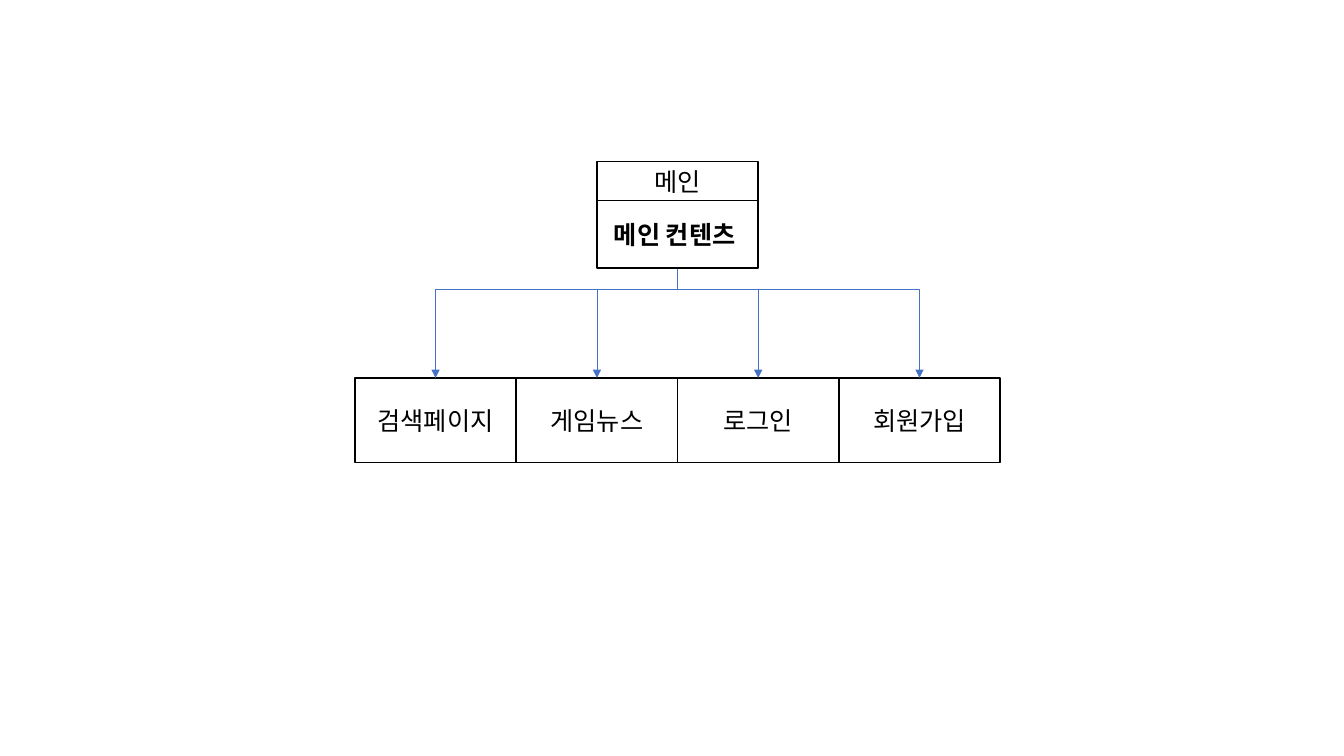
from dataclasses import dataclass

from lxml import etree
from pptx import Presentation
from pptx.dml.color import RGBColor
from pptx.enum.shapes import MSO_CONNECTOR, MSO_SHAPE
from pptx.enum.text import MSO_ANCHOR, PP_ALIGN
from pptx.oxml.ns import qn
from pptx.util import Inches, Pt

RECT = MSO_SHAPE.RECTANGLE
ELBOW = MSO_CONNECTOR.ELBOW
CENTER = PP_ALIGN.CENTER
MIDDLE = MSO_ANCHOR.MIDDLE


@dataclass(frozen=True)
class Theme:
    font: str = "Noto Sans CJK KR"
    size: float = 18
    ink: RGBColor = RGBColor(0x00, 0x00, 0x00)
    paper: RGBColor = RGBColor(0xFF, 0xFF, 0xFF)
    arrow: RGBColor = RGBColor(0x44, 0x72, 0xC4)
    box_line: float = 1
    arrow_line: float = 0.5


def write_text(tf, text, *, font, size, color, bold=False):
    tf.word_wrap = True
    tf.vertical_anchor = MIDDLE
    p = tf.paragraphs[0]
    p.alignment = CENTER
    r = p.add_run()
    r.text = text
    r.font.name = font
    r.font.size = Pt(size)
    r.font.bold = bold
    r.font.color.rgb = color
    ea = etree.SubElement(r.font._element, qn("a:ea"))
    ea.set("typeface", font)


class SlideBuilder:
    def __init__(self, slide, theme):
        self.slide = slide
        self.theme = theme

    def box(self, text, left, top, width, height, bold=False):
        t = self.theme
        sp = self.slide.shapes.add_shape(
            RECT, Inches(left), Inches(top), Inches(width), Inches(height))
        sp.shadow.inherit = False
        sp.fill.solid()
        sp.fill.fore_color.rgb = t.paper
        sp.line.color.rgb = t.ink
        sp.line.width = Pt(t.box_line)
        write_text(sp.text_frame, text, font=t.font, size=t.size,
                   color=t.ink, bold=bold)

    def branch(self, x1, y1, x2, y2):
        """Draw an elbow arrow that leaves downwards and arrives downwards.

        An elbow runs sideways by default, so it is laid out around the
        midpoint with its sides swapped and then turned a quarter.
        """
        mid_x, mid_y = (x1 + x2) / 2, (y1 + y2) / 2
        half_run, half_rise = (y2 - y1) / 2, abs(x2 - x1) / 2
        to_right = x2 > x1
        if to_right:
            half_run = -half_run
        cxn = self.slide.shapes.add_connector(
            ELBOW,
            Inches(mid_x - half_run), Inches(mid_y - half_rise),
            Inches(mid_x + half_run), Inches(mid_y + half_rise))
        cxn.line.color.rgb = self.theme.arrow
        cxn.line.width = Pt(self.theme.arrow_line)
        sp_pr = cxn._element.spPr
        sp_pr.find(qn("a:xfrm")).set("rot", str((270 if to_right else 90) * 60000))
        tail = etree.SubElement(sp_pr.find(qn("a:ln")), qn("a:tailEnd"))
        tail.set("type", "triangle")
        etree.SubElement(sp_pr, qn("a:effectLst"))


def main():
    prs = Presentation()
    prs.slide_width = Inches(13.33)
    prs.slide_height = Inches(7.5)
    s = SlideBuilder(prs.slides.add_slide(prs.slide_layouts[6]), Theme())

    pages = ["검색페이지", "게임뉴스", "로그인", "회원가입"]
    box_w = 1.6
    center_x = 6.72
    main_left = center_x - box_w / 2
    pages_left = center_x - box_w * len(pages) / 2
    title_top, title_h = 1.6, 0.39
    content_top, content_h = title_top + title_h, 0.67
    pages_top, pages_h = 3.75, 0.84

    s.box("메인", main_left, title_top, box_w, title_h)
    lefts = [pages_left + i * box_w for i in range(len(pages))]
    for page, left in zip(pages, lefts):
        s.box(page, left, pages_top, box_w, pages_h)
    for left in lefts:
        s.branch(center_x, content_top, left + box_w / 2, pages_top)
    # The content box covers the upper part of the shared trunk.
    s.box("메인 컨텐츠 ", main_left, content_top, box_w, content_h, bold=True)

    prs.save("out.pptx")


if __name__ == "__main__":
    main()
